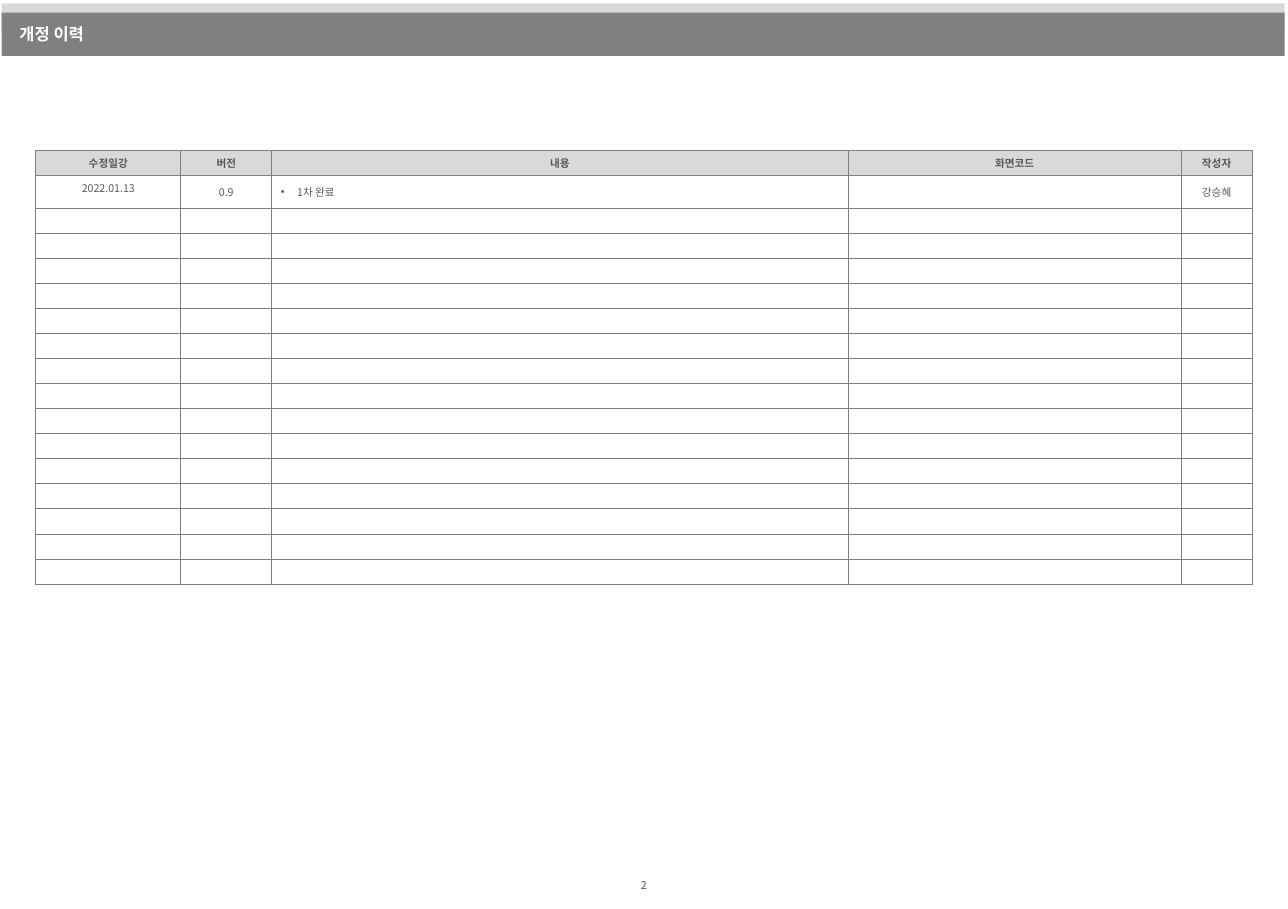
from typing import NamedTuple

from lxml import etree
from pptx import Presentation
from pptx.dml.color import RGBColor
from pptx.enum.shapes import MSO_SHAPE
from pptx.enum.text import MSO_ANCHOR, MSO_AUTO_SIZE, PP_ALIGN
from pptx.oxml.ns import qn
from pptx.util import Inches, Pt

RECTANGLE = MSO_SHAPE.RECTANGLE
TOP, MIDDLE = MSO_ANCHOR.TOP, MSO_ANCHOR.MIDDLE
LEFT, CENTER = PP_ALIGN.LEFT, PP_ALIGN.CENTER
FIT_SHAPE = MSO_AUTO_SIZE.SHAPE_TO_FIT_TEXT

WHITE = RGBColor(0xFF, 0xFF, 0xFF)
LIGHT_GRAY = RGBColor(0xD9, 0xD9, 0xD9)
MID_GRAY = RGBColor(0x80, 0x80, 0x80)
TEXT_GRAY = RGBColor(0x59, 0x59, 0x59)
FONT = "Noto Sans CJK KR"
CELL_TEXT_SIZE = 9
BORDER_WIDTH = Pt(0.75)

TABLE_LEFT, TABLE_TOP, TABLE_HEIGHT = 0.42, 1.77, 5.12
ROW_COUNT = 17
SPECIAL_HEIGHTS = {1: 0.39, 14: 0.31}
COMMON_HEIGHT = (TABLE_HEIGHT - sum(SPECIAL_HEIGHTS.values())) / (
    ROW_COUNT - len(SPECIAL_HEIGHTS))


class Band(NamedTuple):
    top: float
    height: float
    color: RGBColor


class Column(NamedTuple):
    heading: str
    width: float
    first_entry: str
    anchor: MSO_ANCHOR = MIDDLE
    bulleted: bool = False


BANDS = [Band(0.04, 0.31, LIGHT_GRAY), Band(0.15, 0.51, MID_GRAY)]
COLUMNS = [
    Column("수정일강", 1.71, "2022.01.13", anchor=TOP),
    Column("버전", 1.07, "0.9"),
    Column("내용", 6.79, "1차 완료", bulleted=True),
    Column("화면코드", 3.92, ""),
    Column("작성자", 0.84, "강승혜"),
]


def write(frame, text: str, *, size: float = CELL_TEXT_SIZE,
          color: RGBColor = TEXT_GRAY, bold: bool = False,
          align: PP_ALIGN = CENTER, bulleted: bool = False) -> None:
    paragraph = frame.paragraphs[0]
    paragraph.alignment = align
    if bulleted:
        add_bullet(paragraph)
    run = paragraph.add_run()
    run.text = text
    font = run.font
    font.name, font.size, font.bold = FONT, Pt(size), bold
    font.color.rgb = color
    latin = run._r.rPr.find(qn("a:latin"))
    east_asian = etree.Element(qn("a:ea"), typeface=FONT)
    latin.addnext(east_asian)


def add_bullet(paragraph) -> None:
    properties = paragraph._p.get_or_add_pPr()
    indent = Inches(0.19)
    properties.set("marL", str(indent))
    properties.set("indent", str(-indent))
    etree.SubElement(properties, qn("a:buFont"), typeface="Arial")
    etree.SubElement(properties, qn("a:buChar"), char="•")


def size_empty_cell(cell) -> None:
    """Keep an empty cell from stretching its row to the default text size."""
    end = etree.SubElement(cell.text_frame.paragraphs[0]._p, qn("a:endParaRPr"))
    end.set("sz", str(CELL_TEXT_SIZE * 100))
    for script in ("a:latin", "a:ea"):
        etree.SubElement(end, qn(script), typeface=FONT)


def style_cell(cell, fill: RGBColor) -> None:
    properties = cell._tc.get_or_add_tcPr()
    for side in ("a:lnL", "a:lnR", "a:lnT", "a:lnB"):
        line = etree.SubElement(properties, qn(side), w=str(BORDER_WIDTH))
        solid = etree.SubElement(line, qn("a:solidFill"))
        etree.SubElement(solid, qn("a:srgbClr"), val=str(MID_GRAY))
    cell.fill.solid()
    cell.fill.fore_color.rgb = fill


def add_band(slide, band: Band) -> None:
    shape = slide.shapes.add_shape(RECTANGLE, Inches(0.02), Inches(band.top),
                                   Inches(15.11), Inches(band.height))
    shape.shadow.inherit = False
    shape.fill.solid()
    shape.fill.fore_color.rgb = band.color
    shape.line.fill.background()


def add_page_number(slide) -> None:
    box = slide.shapes.add_textbox(Inches(0), Inches(10.16),
                                   Inches(15.17), Inches(0.55))
    box.text_frame.word_wrap = True
    box.text_frame.vertical_anchor = MIDDLE
    write(box.text_frame, "2", size=9.1)


def add_title(slide) -> None:
    box = slide.shapes.add_textbox(Inches(0.13), Inches(0.23),
                                   Inches(1.06), Inches(0.34))
    box.text_frame.word_wrap = False
    box.text_frame.auto_size = FIT_SHAPE
    write(box.text_frame, "개정 이력", size=14, color=WHITE, bold=True, align=LEFT)


def add_history_table(slide) -> None:
    width = sum(column.width for column in COLUMNS)
    table = slide.shapes.add_table(
        ROW_COUNT, len(COLUMNS), Inches(TABLE_LEFT), Inches(TABLE_TOP),
        Inches(width), Inches(TABLE_HEIGHT)).table
    table.horz_banding = False
    for index, row in enumerate(table.rows):
        row.height = Inches(SPECIAL_HEIGHTS.get(index, COMMON_HEIGHT))
    for col, column in enumerate(COLUMNS):
        table.columns[col].width = Inches(column.width)
        for row in range(ROW_COUNT):
            cell = table.cell(row, col)
            style_cell(cell, WHITE if row else LIGHT_GRAY)
            cell.margin_left = cell.margin_right = Inches(0.11)
            cell.vertical_anchor = MIDDLE
            if row > 1 or (row == 1 and not column.first_entry):
                size_empty_cell(cell)
            elif row == 1:
                cell.margin_top = cell.margin_bottom = Inches(0.06)
                cell.vertical_anchor = column.anchor
                write(cell.text_frame, column.first_entry,
                      align=LEFT if column.bulleted else CENTER,
                      bulleted=column.bulleted)
            else:
                write(cell.text_frame, column.heading, bold=True)


def main() -> None:
    presentation = Presentation()
    presentation.slide_width = Inches(15.17)
    presentation.slide_height = Inches(10.71)
    slide = presentation.slides.add_slide(presentation.slide_layouts[6])
    for band in BANDS:
        add_band(slide, band)
    add_page_number(slide)
    add_history_table(slide)
    add_title(slide)
    presentation.save("out.pptx")


if __name__ == "__main__":
    main()
